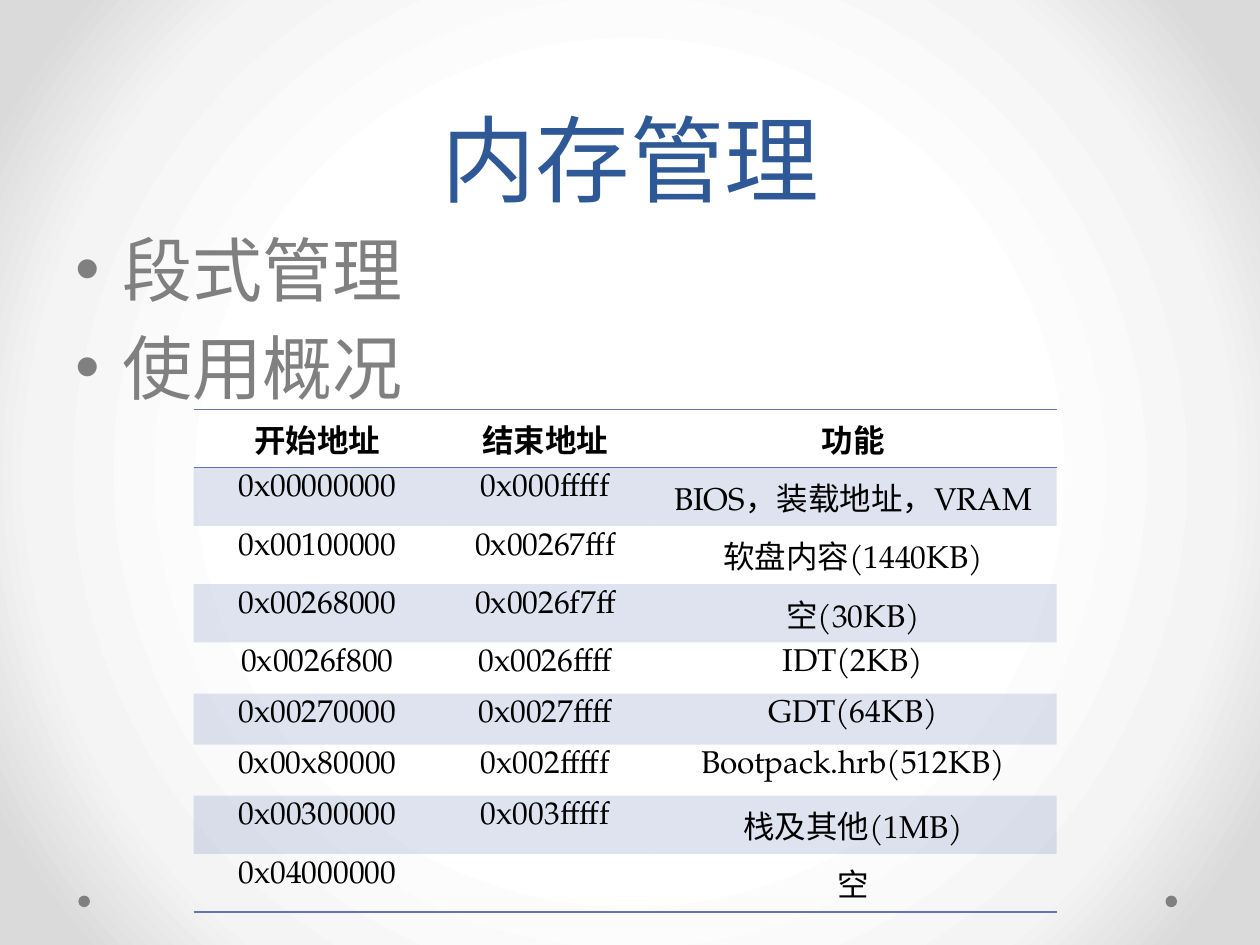
import dataclasses

import pptx
import pptx.dml.color
import pptx.enum.shapes
import pptx.enum.text
import pptx.oxml
import pptx.oxml.ns
import pptx.util

Pt = pptx.util.Pt
qn = pptx.oxml.ns.qn
NS = pptx.oxml.ns.nsdecls("a", "p")
CENTER = pptx.enum.text.PP_ALIGN.CENTER


@dataclasses.dataclass(frozen=True)
class Theme:
    heading_font: str = "TeX Gyre Pagella"
    body_font: str = "TeX Gyre Adventor"
    title_size: int = 54
    body_size: int = 40
    table_size: int = 18
    title_color: str = "2F5897"
    gray: str = "808080"
    black: str = "000000"
    accent: str = "6076B4"
    band_alpha: int = 20
    backdrop: tuple = ((50, "FFFFFF"), (76, "F4F4F4"), (92, "DADADA"))


def rgb(color):
    return pptx.dml.color.RGBColor.from_string(color)


class SlideBuilder:
    def __init__(self, slide, theme):
        self.slide = slide
        self.theme = theme

    def background(self):
        """Fill the slide with a gradient that spreads from its centre."""
        stops = "".join(
            f'<a:gs pos="{pos * 1000}"><a:srgbClr val="{color}"/></a:gs>'
            for pos, color in self.theme.backdrop)
        bg = pptx.oxml.parse_xml(
            f'<p:bg {NS}><p:bgPr><a:gradFill rotWithShape="1"><a:gsLst>{stops}</a:gsLst>'
            '<a:path path="circle"><a:fillToRect l="50000" t="50000" r="50000" b="50000"/>'
            '</a:path></a:gradFill><a:effectLst/></p:bgPr></p:bg>')
        self.slide.element.cSld.insert(0, bg)

    def style(self, p, font, size, color, bold=False):
        for r in p.runs:
            r.font.name = font
            r.font.size = Pt(size)
            r.font.bold = bold
            r.font.color.rgb = rgb(color)

    def place(self, sp, left, top, width, height):
        sp.left, sp.top, sp.width, sp.height = map(Pt, (left, top, width, height))
        sp.text_frame.auto_size = pptx.enum.text.MSO_AUTO_SIZE.NONE

    def title(self, text, *box):
        sp = self.slide.shapes.title
        self.place(sp, *box)
        tf = sp.text_frame
        tf.text = text
        tf.vertical_anchor = pptx.enum.text.MSO_ANCHOR.BOTTOM
        p = tf.paragraphs[0]
        p.alignment = CENTER
        p.line_spacing = Pt(58)
        self.style(p, self.theme.heading_font, self.theme.title_size, self.theme.title_color)

    def bullets(self, items, *box):
        sp = self.slide.placeholders[1]
        self.place(sp, *box)
        sp.text_frame.text = "\n".join(items)
        for p in sp.text_frame.paragraphs:
            self.style(p, self.theme.body_font, self.theme.body_size, self.theme.gray)

    def dot(self, left, top, size):
        sp = self.slide.shapes.add_shape(
            pptx.enum.shapes.MSO_SHAPE.OVAL, Pt(left), Pt(top), Pt(size), Pt(size))
        sp.shadow.inherit = False
        sp.fill.solid()
        sp.fill.fore_color.rgb = rgb(self.theme.gray)
        sp.line.fill.background()

    def rule(self, cell, side):
        """Draw a border on one side of a cell: T or B."""
        cell._tc.get_or_add_tcPr().append(pptx.oxml.parse_xml(
            f'<a:ln{side} {NS} w="12700"><a:solidFill><a:srgbClr val="{self.theme.accent}"/>'
            f'</a:solidFill></a:ln{side}>'))

    def band(self, cell):
        cell.fill.solid()
        cell.fill.fore_color.rgb = rgb(self.theme.accent)
        clr = cell._tc.tcPr.find(".//" + qn("a:srgbClr"))
        alpha = self.theme.band_alpha * 1000
        clr.append(pptx.oxml.parse_xml(f'<a:alpha {NS} val="{alpha}"/>'))

    def table(self, rows, left, top, widths, row_height):
        """Rows after the header alternate between banded and clear."""
        frame = self.slide.shapes.add_table(
            len(rows), len(widths), Pt(left), Pt(top),
            Pt(sum(widths)), Pt(row_height * len(rows)))
        table = frame.table
        # "No Style, No Grid"
        table._tbl.tblPr.find(qn("a:tableStyleId")).text = "{2D5ABB26-0587-4C30-8999-92F81FD0307C}"
        for column, width in zip(table.columns, widths):
            column.width = Pt(width)
        for i, row in enumerate(rows):
            table.rows[i].height = Pt(row_height)
            for j, text in enumerate(row):
                cell = table.cell(i, j)
                cell.text = text
                p = cell.text_frame.paragraphs[0]
                p.alignment = CENTER
                self.style(p, self.theme.heading_font, self.theme.table_size,
                           self.theme.black, bold=i == 0)
                if i == 0:
                    self.rule(cell, "T")
                if i in (0, len(rows) - 1):
                    self.rule(cell, "B")
                if i % 2:
                    self.band(cell)
                else:
                    cell.fill.background()


MEMORY_MAP = [
    ("开始地址", "结束地址", "功能"),
    ("0x00000000", "0x000fffff", "BIOS，装载地址，VRAM"),
    ("0x00100000", "0x00267fff", "软盘内容(1440KB)"),
    ("0x00268000", "0x0026f7ff", "空(30KB)"),
    ("0x0026f800", "0x0026ffff", "IDT(2KB)"),
    ("0x00270000", "0x0027ffff", "GDT(64KB)"),
    ("0x00x80000", "0x002fffff", "Bootpack.hrb(512KB)"),
    ("0x00300000", "0x003fffff", "栈及其他(1MB)"),
    ("0x04000000", "", "空"),
]


def main():
    prs = pptx.Presentation()
    prs.slide_width, prs.slide_height = Pt(720), Pt(540)
    s = SlideBuilder(prs.slides.add_slide(prs.slide_layouts[1]), Theme())
    s.background()
    for left in (666, 44.8):
        s.dot(left, 511.8, 6.6)
    s.title("内存管理", 36, 0, 648, 126)
    s.bullets(["段式管理", "使用概况"], 36, 126, 648, 356.4)
    s.table(MEMORY_MAP, 110.6, 234, (141.6, 119, 232.6), 29.2)
    prs.save("out.pptx")


if __name__ == "__main__":
    main()
